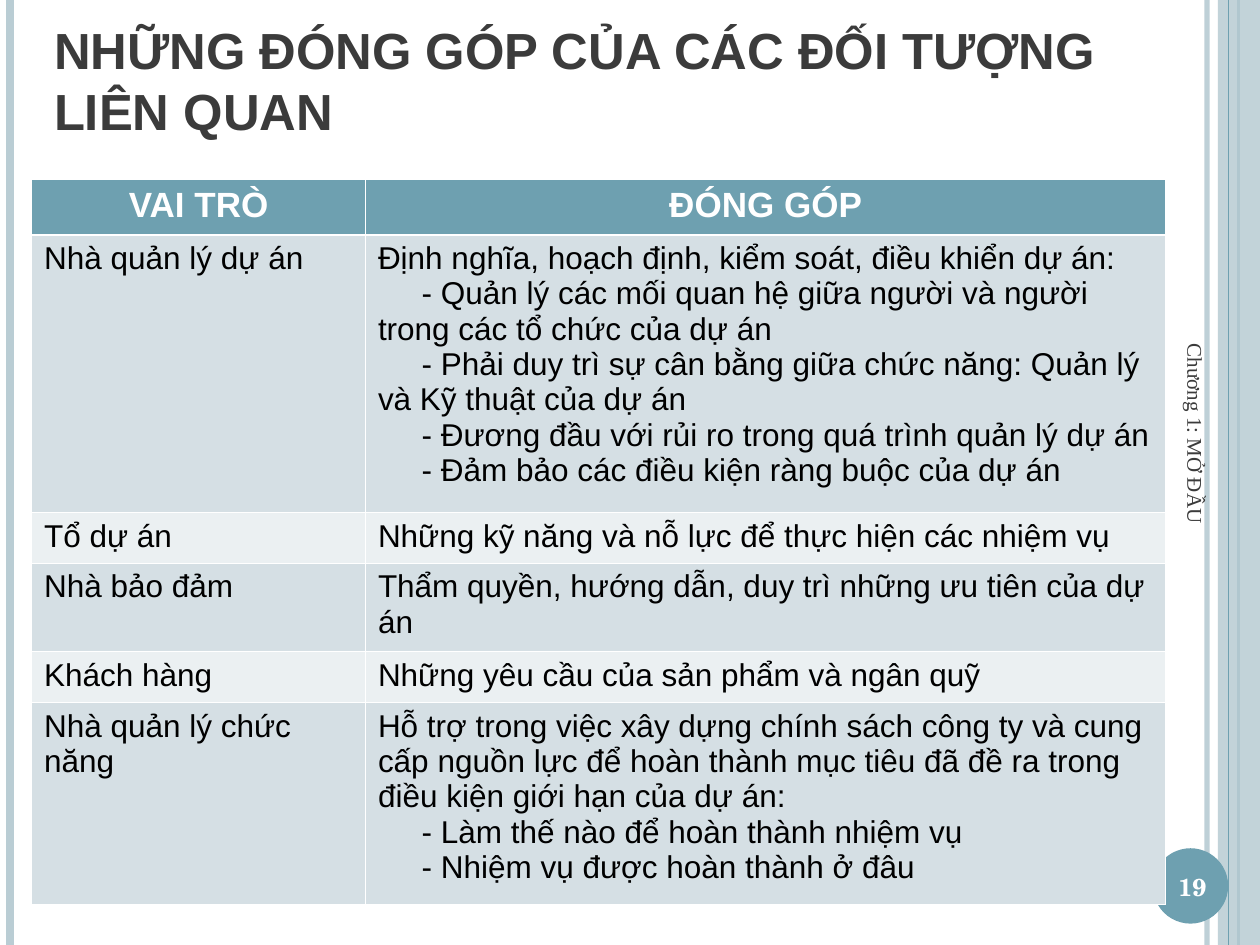
"""Build the slide on what each stakeholder contributes to a project."""
import pptx
import pptx.dml.color
import pptx.enum.shapes
import pptx.enum.text
import pptx.oxml.ns
import pptx.util
from lxml import etree

Cm = pptx.util.Cm
Pt = pptx.util.Pt
RGBColor = pptx.dml.color.RGBColor
Align = pptx.enum.text.PP_ALIGN
Anchor = pptx.enum.text.MSO_ANCHOR
qn = pptx.oxml.ns.qn

WHITE = RGBColor(0xFF, 0xFF, 0xFF)
BLACK = RGBColor(0x00, 0x00, 0x00)
CHARCOAL = RGBColor(0x3B, 0x3B, 0x3B)
TEAL = RGBColor(0x6E, 0xA0, 0xB0)
PALE_TEAL = RGBColor(0xBA, 0xCD, 0xD4)
BAND_DARK = RGBColor(0xD5, 0xDF, 0xE4)
BAND_LIGHT = RGBColor(0xEB, 0xF0, 0xF2)

SLIDE_WIDTH, SLIDE_HEIGHT = Cm(25.4), Cm(19.05)
COLUMN_WIDTHS = [6.73, 16.13]
ROW_HEIGHTS = [1.12, 5.59, 1.02, 1.78, 1.02, 4.06]

TITLE_FONT = {"name": "Arial", "size": Pt(29), "bold": True}
HEADER_FONT = {"name": "Arial", "size": Pt(20), "bold": True}
BODY_FONT = {"name": "Arial", "size": Pt(18), "bold": False}
NUMBER_FONT = {"name": "TeX Gyre Schola", "size": Pt(14), "bold": True}
FOOTER_FONT = {"name": "Times New Roman", "size": Pt(12), "bold": False}

CONTRIBUTIONS = [
    ("VAI TRÒ", ["ĐÓNG GÓP"]),
    ("Nhà quản lý dự án", [
        "Định nghĩa, hoạch định, kiểm soát, điều khiển dự án:",
        "- Quản lý các mối quan hệ giữa người và người trong các tổ chức của dự án",
        "- Phải duy trì sự cân bằng giữa chức năng: Quản lý và Kỹ thuật của dự án",
        "- Đương đầu với rủi ro trong quá trình quản lý dự án",
        "- Đảm bảo các điều kiện ràng buộc của dự án"]),
    ("Tổ dự án", ["Những kỹ năng và nỗ lực để thực hiện các nhiệm vụ"]),
    ("Nhà bảo đảm", ["Thẩm quyền, hướng dẫn, duy trì những ưu tiên của dự án"]),
    ("Khách hàng", ["Những yêu cầu của sản phẩm và ngân quỹ"]),
    ("Nhà quản lý chức năng", [
        "Hỗ trợ trong việc xây dựng chính sách công ty và cung cấp nguồn lực để "
        "hoàn thành mục tiêu đã đề ra trong điều kiện giới hạn của dự án:",
        "- Làm thế nào để hoàn thành nhiệm vụ",
        "- Nhiệm vụ được hoàn thành ở đâu"]),
]


def set_opacity(properties, percent):
    """Make the solid colour inside the given properties partly transparent."""
    color = next(properties.iter(qn("a:srgbClr")))
    etree.SubElement(color, qn("a:alpha"), val=str(percent * 1000))


def add_vertical_line(slide, x, color, width, opacity=100):
    """Add a line over the full height of the slide."""
    line = slide.shapes.add_connector(
        pptx.enum.shapes.MSO_CONNECTOR.STRAIGHT, Cm(x), 0, Cm(x), SLIDE_HEIGHT)
    line.line.color.rgb = color
    line.line.width = Pt(width)
    properties = line._element.spPr
    if opacity < 100:
        set_opacity(properties, opacity)
    etree.SubElement(properties, qn("a:effectLst"))


def add_filled_shape(slide, kind, box, color, opacity=100):
    """Add a preset shape with a plain fill and no outline."""
    shape = slide.shapes.add_shape(kind, *map(Cm, box))
    shape.shadow.inherit = False
    shape.fill.solid()
    shape.fill.fore_color.rgb = color
    shape.line.fill.background()
    if opacity < 100:
        set_opacity(shape._element.spPr, opacity)


def write_paragraph(paragraph, text, font, color, alignment):
    """Fill a paragraph with text in one format."""
    paragraph.text = text
    paragraph.alignment = alignment
    for name, value in font.items():
        setattr(paragraph.font, name, value)
    paragraph.font.color.rgb = color


def add_text(slide, box, text, font, color, anchor, alignment=Align.LEFT, rotation=0):
    """Add a wrapped text box."""
    shape = slide.shapes.add_textbox(*map(Cm, box))
    shape.rotation = rotation
    shape.text_frame.word_wrap = True
    shape.text_frame.vertical_anchor = anchor
    write_paragraph(shape.text_frame.paragraphs[0], text, font, color, alignment)


def add_cell_borders(cell, widths):
    """Draw white borders given as a dict of side to width in points."""
    properties = cell._tc.get_or_add_tcPr()
    for side, width in widths.items():
        line = etree.SubElement(properties, qn(f"a:ln{side}"), w=str(Pt(width)))
        fill = etree.SubElement(line, qn("a:solidFill"))
        etree.SubElement(fill, qn("a:srgbClr"), val=str(WHITE))


def fill_cell(cell, lines, row):
    """Format one table cell by its row and write its lines."""
    is_header = row == 0
    add_cell_borders(cell, {"L": 0.45, "R": 0.45,
                            "T": 1.47 if row == 1 else 0.45,
                            "B": 1.47 if is_header else 0.45})
    cell.fill.solid()
    cell.fill.fore_color.rgb = TEAL if is_header else (BAND_LIGHT, BAND_DARK)[row % 2]
    cell.margin_left = cell.margin_right = Cm(0.25)
    cell.margin_top = cell.margin_bottom = Cm(0.13)
    font, color, alignment = ((HEADER_FONT, WHITE, Align.CENTER) if is_header
                              else (BODY_FONT, BLACK, Align.LEFT))
    for index, text in enumerate(lines):
        frame = cell.text_frame
        paragraph = frame.add_paragraph() if index else frame.paragraphs[0]
        write_paragraph(paragraph, text, font, color, alignment)
        if index:
            paragraph._p.get_or_add_pPr().set("indent", str(Cm(0.88)))


def add_contribution_table(slide):
    """Add the table of roles and contributions."""
    table = slide.shapes.add_table(
        len(ROW_HEIGHTS), len(COLUMN_WIDTHS), Cm(0.64), Cm(3.61),
        Cm(sum(COLUMN_WIDTHS)), Cm(sum(ROW_HEIGHTS))).table
    for column, width in zip(table.columns, COLUMN_WIDTHS):
        column.width = Cm(width)
    for row, (role, contribution) in enumerate(CONTRIBUTIONS):
        table.rows[row].height = Cm(ROW_HEIGHTS[row])
        fill_cell(table.cell(row, 0), [role], row)
        fill_cell(table.cell(row, 1), contribution, row)


def add_decoration(slide):
    """Add the side stripes and the disc behind the slide number."""
    shapes = pptx.enum.shapes.MSO_SHAPE
    add_vertical_line(slide, 24.33, PALE_TEAL, 3, 93)
    add_vertical_line(slide, 0.21, PALE_TEAL, 4.5)
    add_vertical_line(slide, 24.97, TEAL, 1.5)
    add_filled_shape(slide, shapes.RECTANGLE, (24.55, 0, 0.85, 19.05), PALE_TEAL, 87)
    add_vertical_line(slide, 24.77, TEAL, 0.75)
    add_filled_shape(slide, shapes.OVAL, (23.24, 17.1, 1.52, 1.52), TEAL)


def main():
    """Build and save the slide."""
    presentation = pptx.Presentation()
    presentation.slide_width = SLIDE_WIDTH
    presentation.slide_height = SLIDE_HEIGHT
    slide = presentation.slides.add_slide(presentation.slide_layouts[6])
    add_decoration(slide)
    add_text(slide, (0.84, 0.76, 22.02, 2.21),
             "NHỮNG ĐÓNG GÓP CỦA CÁC ĐỐI TƯỢNG LIÊN QUAN",
             TITLE_FONT, CHARCOAL, Anchor.BOTTOM)
    add_contribution_table(slide)
    add_text(slide, (23.19, 17.15, 1.7, 1.45), "19",
             NUMBER_FONT, WHITE, Anchor.MIDDLE, Align.CENTER)
    add_text(slide, (19.66, 10.62, 8.89, 1.02), "Chương 1: MỞ ĐẦU",
             FOOTER_FONT, CHARCOAL, Anchor.MIDDLE, rotation=90)
    presentation.save("out.pptx")


if __name__ == "__main__":
    main()
